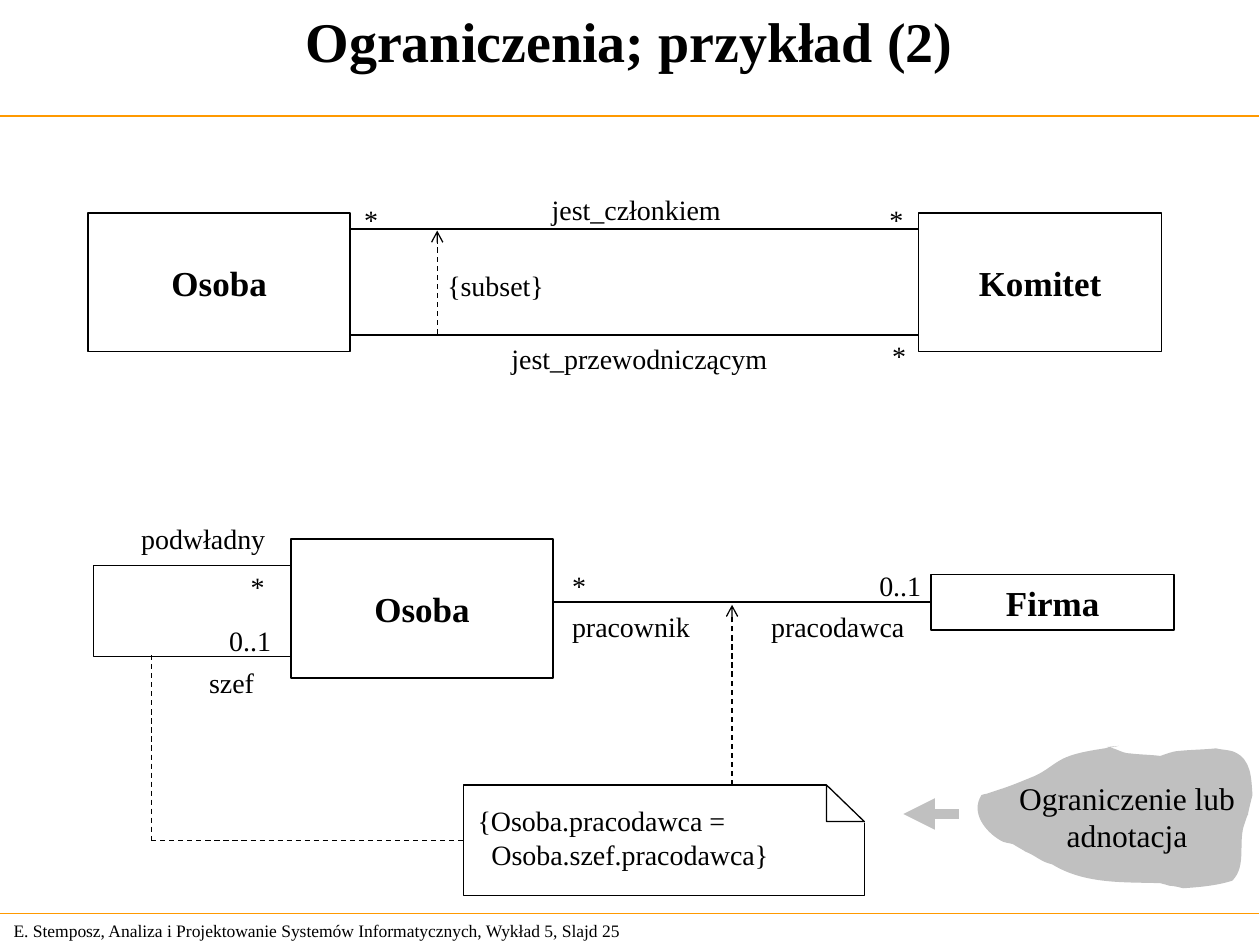
from lxml.etree import SubElement
from pptx import Presentation
from pptx.dml.color import RGBColor as Rgb
from pptx.enum.dml import MSO_LINE as Dash
from pptx.enum.shapes import MSO_CONNECTOR as Conn, MSO_SHAPE as Form
from pptx.enum.text import MSO_ANCHOR as Anchor, PP_ALIGN as Align
from pptx.oxml.ns import qn
from pptx.util import Inches, Pt

THEME = {
    "font": "Times New Roman", "ink": "000000", "paper": "FFFFFF",
    "rule": "FF9900", "grey": "C0C0C0",
    "title": 32, "name": 20, "call": 18, "label": 16, "foot": 10,
    "thin": 0.75, "line": 1, "bold": 6,
}
TITLE = "Ograniczenia; przykład (2)"
FOOT = "E. Stemposz, Analiza i Projektowanie Systemów Informatycznych, Wykład 5, Slajd 25"
CALL = "Ograniczenie lub\nadnotacja"
NOTE = "{Osoba.pracodawca =\nOsoba.szef.pracodawca}"
RULES = [0.92, 7.25]
LOOP = (0.74, 4.49, 1.85, 0.72)
BOXES = {
    "member": ("Osoba", (0.7, 1.69, 2.08, 1.1)),
    "group": ("Komitet", (7.29, 1.69, 1.93, 1.1)),
    "worker": ("Osoba", (2.31, 4.28, 2.08, 1.1)),
    "firm": ("Firma", (7.39, 4.56, 1.93, 0.44)),
}
LINKS = [1.82, 2.66]
ENDS = [
    ("jest_członkiem", 4.28, 1.48, 1.54), ("*", 2.79, 1.56, 0.31),
    ("*", 6.96, 1.56, 0.31), ("jest_przewodniczącym", 3.96, 2.66, 2.23),
    ("*", 6.98, 2.64, 0.31), ("0..1", 6.88, 4.46, 0.53),
    ("*", 4.44, 4.46, 0.31), ("0..1", 1.72, 4.9, 0.53),
    ("*", 1.89, 4.47, 0.31),
]
ROLES = [
    ("{subset}", 3.55, 2.13, 0.77), ("pracownik", 4.54, 4.84, 0.94),
    ("pracodawca", 6.12, 4.84, 1.06), ("podwładny", 1.12, 4.14, 0.99),
    ("szef", 1.66, 5.28, 0.36),
]
CLOUD = (7.7, 5.92, 2.25, 1.14)
START = (8.88, 5.92)
CURVES = [
    (8.73, 5.95, 8.57, 5.96, 8.44, 6.02), (8.36, 6.06, 8.3, 6.12, 8.21, 6.16),
    (8.11, 6.2, 8.02, 6.24, 7.92, 6.27), (7.89, 6.28, 7.86, 6.29, 7.83, 6.3),
    (7.82, 6.3, 7.79, 6.31, 7.79, 6.31), (7.7, 6.45, 7.82, 6.6, 7.94, 6.67),
    (7.97, 6.69, 8.01, 6.69, 8.04, 6.7), (8.07, 6.72, 8.11, 6.74, 8.14, 6.76),
    (8.22, 6.79, 8.26, 6.84, 8.35, 6.86), (8.61, 7.02, 8.92, 7, 9.21, 7.01),
    (9.24, 7.02, 9.26, 7.02, 9.28, 7.03), (9.32, 7.03, 9.39, 7.05, 9.39, 7.05),
    (9.53, 7.04, 9.65, 7.03, 9.78, 6.99), (9.9, 6.87, 9.82, 6.68, 9.88, 6.53),
    (9.94, 6.35, 9.87, 6.6, 9.93, 6.35), (9.94, 6.33, 9.94, 6.3, 9.94, 6.3),
    (9.93, 6.17, 9.93, 6.03, 9.8, 5.97), (9.76, 5.95, 9.68, 5.95, 9.65, 5.94),
    (9.55, 5.95, 9.46, 5.95, 9.36, 5.96), (9.31, 5.96, 9.21, 6, 9.21, 6),
    (9.13, 5.99, 9.05, 5.99, 8.97, 5.98), (8.9, 5.98, 8.85, 5.93, 8.78, 5.93),
]

deck = Presentation()
deck.slide_width, deck.slide_height = Inches(10), Inches(7.5)
shapes = deck.slides.add_slide(deck.slide_layouts[6]).shapes


def hue(key):
    return Rgb.from_string(THEME[key])


def write(shape, text, size, align=Align.CENTER, pad=(0.1, 0.05),
          anchor=Anchor.TOP, wrap=False, bold=False):
    """Put styled text into a shape."""
    frame = shape.text_frame
    frame.text = text
    frame.word_wrap, frame.vertical_anchor = wrap, anchor
    frame.margin_left = frame.margin_right = Inches(pad[0])
    frame.margin_top = frame.margin_bottom = Inches(pad[1])
    for para in frame.paragraphs:
        para.alignment = align
        for run in para.runs:
            font = run.font
            font.name, font.size, font.bold = THEME["font"], Pt(THEME[size]), bold
            font.color.rgb = hue("ink")
    return frame


def label(text, spot, size, **style):
    """Add a text box."""
    return write(shapes.add_textbox(*map(Inches, spot)), text, size, **style)


def paint(shape, fill="paper", width=None):
    """Set the fill and outline of a shape."""
    shape.shadow.inherit = False
    shape.fill.solid()
    shape.fill.fore_color.rgb = hue(fill)
    if width:
        shape.line.color.rgb, shape.line.width = hue("ink"), Pt(THEME[width])
    else:
        shape.line.fill.background()
    return shape


def block(spot, form=Form.RECTANGLE, **style):
    """Add a preset shape."""
    return paint(shapes.add_shape(form, *map(Inches, spot)), **style)


def wire(start, end, color="ink", width="line", dash=False, tip=None):
    """Add a straight line, with an optional arrowhead at its end."""
    line = shapes.add_connector(Conn.STRAIGHT, *map(Inches, start + end))
    line.line.color.rgb, line.line.width = hue(color), Pt(THEME[width])
    if dash:
        line.line.dash_style = Dash.DASH
    props = line._element.spPr
    if tip:
        SubElement(props.find(qn("a:ln")), qn("a:tailEnd"), type=tip)
    SubElement(props, qn("a:effectLst"))
    return line


def blob(spot, start, curves):
    """Add a closed freeform whose sides are cubic curves."""
    x, y, w, h = map(Inches, spot)
    pen = shapes.build_freeform(x, y)
    pen.add_line_segments([(x + w, y), (x + w, y + h)], close=True)
    shape = pen.convert_to_shape()
    route = next(shape._element.iter(qn("a:path")))
    for part in list(route):
        route.remove(part)
    steps = [("a:moveTo", start)] + [("a:cubicBezTo", curve) for curve in curves]
    for tag, vals in steps:
        step = SubElement(route, qn(tag))
        for px, py in zip(vals[::2], vals[1::2]):
            SubElement(step, qn("a:pt"), x=str(Inches(px) - x), y=str(Inches(py) - y))
    SubElement(route, qn("a:close"))
    return paint(shape, fill="grey")


label(FOOT, (0.01, 7.25, 5.24, 0.27), "foot", align=Align.LEFT,
      anchor=Anchor.MIDDLE, wrap=True)
for y in RULES:
    wire((0, y), (9.99, y), color="rule", width="thin")

blob(CLOUD, START, CURVES)
label(CALL, (7.99, 6.12, 1.91, 0.7), "call", pad=(0, 0.06), wrap=True)

block(LOOP, width="thin")
nodes = {}
for key, (name, spot) in BOXES.items():
    nodes[key] = block(spot, width="line")
    write(nodes[key], name, "name", anchor=Anchor.MIDDLE, wrap=True, bold=True)

for y in LINKS:
    wire((2.78, y), (7.29, y))
wire((3.47, 2.65), (3.47, 1.83), width="thin", dash=True, tip="arrow")
wire((4.39, 4.78), (7.39, 4.78)).end_connect(nodes["firm"], 1)
for text, x, y, w in ENDS:
    label(text, (x, y, w, 0.37), "label")
for text, x, y, w in ROLES:
    label(text, (x, y, w, 0.27), "label", align=Align.LEFT, pad=(0, 0))

note = block((3.68, 6.23, 3.18, 0.88), width="thin")
block((6.56, 6.22, 0.32, 0.31))
block((6.56, 6.23, 0.3, 0.29), form=Form.RIGHT_TRIANGLE, width="thin")
frame = label(NOTE, (3.79, 6.38, 2.31, 0.53), "label", align=Align.LEFT, pad=(0, 0))
frame.paragraphs[1]._p.get_or_add_pPr().set("marL", str(Inches(0.11)))
wire((1.2, 5.2), (1.2, 6.67), width="thin", dash=True)
wire((1.2, 6.67), (3.68, 6.67), width="thin", dash=True).end_connect(note, 1)
wire((5.81, 6.23), (5.81, 4.8), width="thin", dash=True, tip="arrow")

label(TITLE, (0, 0, 9.99, 0.76), "title", wrap=True, bold=True)
wire((7.61, 6.46), (7.17, 6.46), color="grey", width="bold", tip="triangle")
deck.save("out.pptx")
